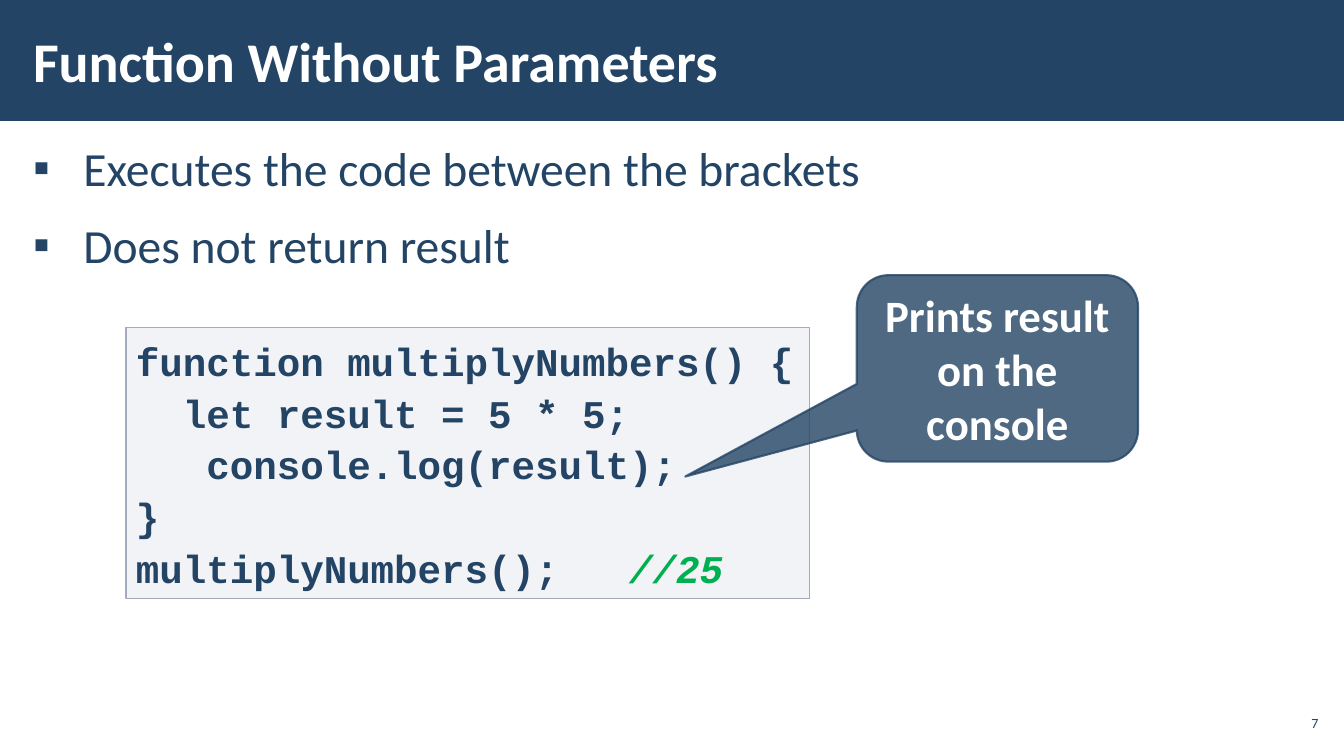
from lxml import etree
from pptx import Presentation
from pptx.dml.color import RGBColor
from pptx.enum.shapes import MSO_SHAPE
from pptx.enum.text import MSO_ANCHOR, MSO_AUTO_SIZE, PP_ALIGN
from pptx.oxml.ns import qn
from pptx.util import Pt

RECT = MSO_SHAPE.RECTANGLE
CALLOUT = MSO_SHAPE.ROUNDED_RECTANGULAR_CALLOUT
TOP, MIDDLE = MSO_ANCHOR.TOP, MSO_ANCHOR.MIDDLE
LEFT, CENTER, RIGHT = PP_ALIGN.LEFT, PP_ALIGN.CENTER, PP_ALIGN.RIGHT
FIXED = MSO_AUTO_SIZE.NONE

TITLE = "Function Without Parameters"
POINTS = ["Executes the code between the brackets", "Does not return result"]
# Each code line is a list of (text, colour) pieces.
CODE = [
    [("function multiplyNumbers() {", "navy")],
    [("  let result = 5 * 5;", "navy")],
    [("   console.log(result);", "navy")],
    [("}", "navy")],
    [("multiplyNumbers();   ", "navy"), ("//25", "green")],
]
NOTE = "Prints result on the console"
PAGE = "7"

COLORS = {"navy": "234465", "white": "FFFFFF", "green": "00B050",
          "panel": "C2C7D2", "edge": "A3ABBC"}
SANS, MONO = "Calibri", "Courier New"
WIDTH, HEIGHT = 960, 540
BANNER = (0, 0, WIDTH, 86.4)
HEAD = (15.12, 7.92, 748.08, 69.84)
BODY = (15.12, 94.32, 930.24, 409.68)
PANEL = (90, 234, 488.16, 193.68)
BUBBLE = (612, 196.56, 200.88, 133.2)
NUMBER = (910.8, 504, 33.84, 24.48)
TAIL = (-1.11, 0.58, 0.17)


def color(name):
    return RGBColor.from_string(COLORS[name])


def place(shape, box):
    shape.left, shape.top, shape.width, shape.height = map(Pt, box)


def fade(fill, percent):
    """Set the opacity of a solid fill."""
    tint = fill._xPr.find(qn("a:solidFill"))[0]
    etree.SubElement(tint, qn("a:alpha"), val=str(percent * 1000))


def style(run, size, tone, font=SANS, bold=False):
    run.font.size, run.font.name, run.font.bold = Pt(size), font, bold
    run.font.color.rgb = color(tone)


def frame(shape, anchor, side=7.2, edge=3.6):
    text = shape.text_frame
    text.word_wrap, text.auto_size, text.vertical_anchor = True, FIXED, anchor
    text.margin_left = text.margin_right = Pt(side)
    text.margin_top = text.margin_bottom = Pt(edge)
    return text


def write(text, words, align, size, tone, bold=False):
    text.text = words
    par = text.paragraphs[0]
    par.alignment = align
    style(par.runs[0], size, tone, bold=bold)


def lines(text, count):
    """Yield the first paragraph, then new ones."""
    yield text.paragraphs[0]
    for _ in range(count - 1):
        yield text.add_paragraph()


def bullet(par, mark="▪", indent=36):
    props = par._p.get_or_add_pPr()
    props.set("marL", str(Pt(indent)))
    props.set("indent", str(-Pt(indent)))
    etree.SubElement(props, qn("a:buFont"), typeface="Arial")
    etree.SubElement(props, qn("a:buChar"), char=mark)


def draw(shapes, kind, box, fill, opacity=100, line=None, weight=1):
    shape = shapes.add_shape(kind, *map(Pt, box))
    shape.shadow.inherit = False
    shape.fill.solid()
    shape.fill.fore_color.rgb = color(fill)
    fade(shape.fill, opacity)
    if line:
        shape.line.color.rgb = color(line)
        shape.line.width = Pt(weight)
    else:
        shape.line.fill.background()
    return shape


def main():
    deck = Presentation()
    deck.slide_width, deck.slide_height = Pt(WIDTH), Pt(HEIGHT)
    shapes = deck.slides.add_slide(deck.slide_layouts[5]).shapes

    banner = draw(shapes, RECT, BANNER, "navy")
    shapes.title._element.addprevious(banner._element)
    place(shapes.title, HEAD)
    write(frame(shapes.title, MIDDLE, 8.5, 2.83), TITLE, LEFT, 40, "white", True)

    body = frame(shapes.add_textbox(*map(Pt, BODY)), TOP, 8.5, 2.83)
    for par, words in zip(lines(body, len(POINTS)), POINTS):
        par.text = words
        par.line_spacing = 1.05
        par.space_before = par.space_after = Pt(6)
        bullet(par)
        style(par.runs[0], 34, "navy")

    page = frame(shapes.add_textbox(*map(Pt, NUMBER)), MIDDLE, 2.83, 2.83)
    write(page, PAGE, RIGHT, 10, "navy")

    panel = frame(draw(shapes, RECT, PANEL, "panel", 20, "edge"), TOP)
    for par, pieces in zip(lines(panel, len(CODE)), CODE):
        par.alignment, par.line_spacing = LEFT, 1.1
        for words, tone in pieces:
            run = par.add_run()
            run.text = words
            style(run, 28, tone, MONO, True)
            run.font.italic = tone == "green"

    bubble = draw(shapes, CALLOUT, BUBBLE, "navy", 80, "navy", 1.5)
    fade(bubble.line.fill, 80)
    for spot, value in enumerate(TAIL):
        bubble.adjustments[spot] = value
    write(frame(bubble, MIDDLE), NOTE, CENTER, 32, "white", True)

    deck.save("out.pptx")


if __name__ == "__main__":
    main()
